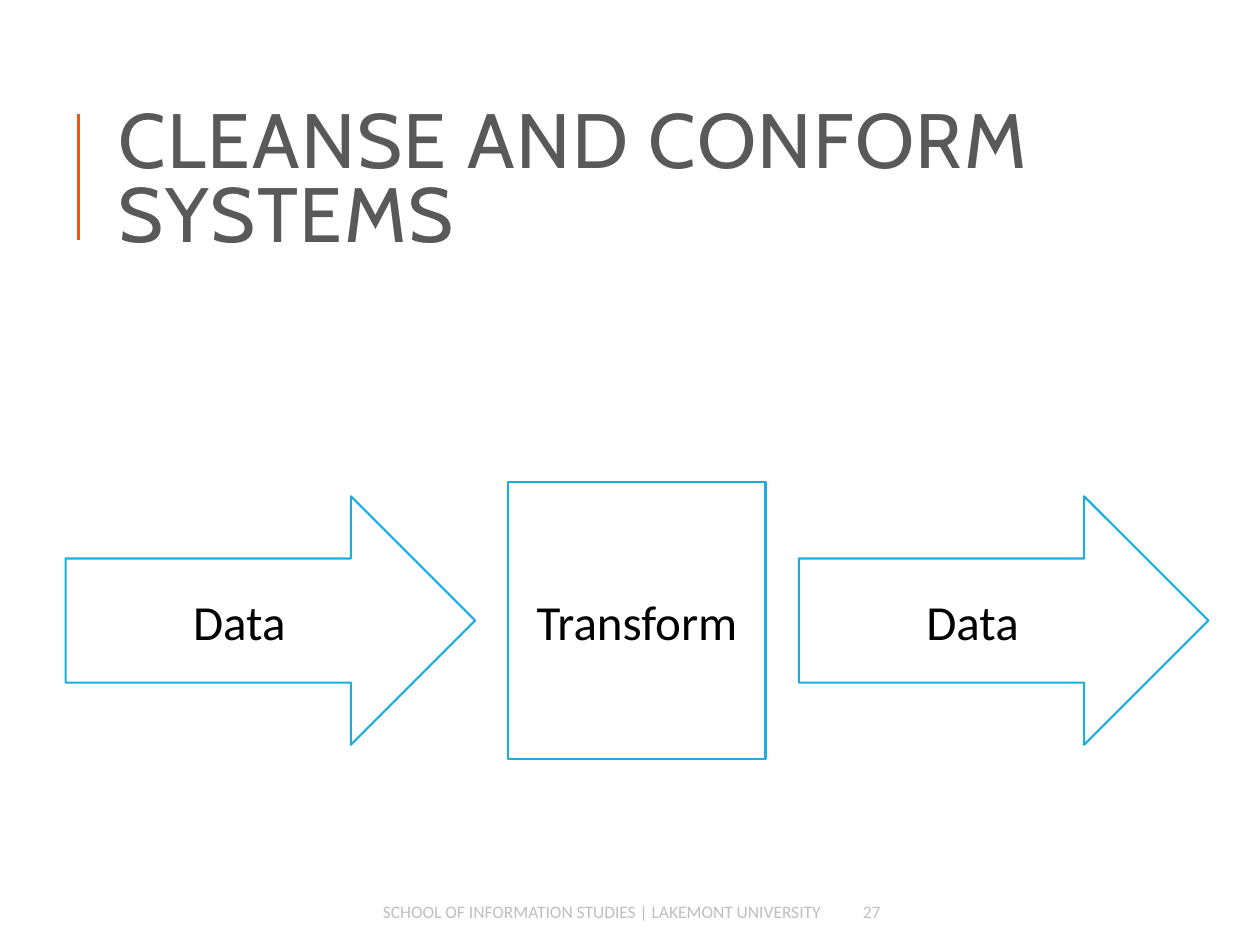
from typing import NamedTuple

from lxml import etree
from pptx import Presentation
from pptx.dml.color import RGBColor
from pptx.enum import shapes as es, text as et
from pptx.oxml.ns import qn
from pptx.util import Pt

ORANGE, BLUE, WHITE = "EE5612", "1CADE4", "FFFFFF"
DARK, GREY, BLACK = "595959", "BFBFBF", "000000"
LEFT, CENTER, RIGHT = et.PP_ALIGN.LEFT, et.PP_ALIGN.CENTER, et.PP_ALIGN.RIGHT


class Step(NamedTuple):
    label: str
    kind: es.MSO_SHAPE
    width: float
    height: float


def paint(target, color: str) -> None:
    target.rgb = RGBColor.from_string(color)


def write(shape, words: str, *, size: float, color: str, font: str = "Calibri",
          align=LEFT, leading: float = 1.0, track: float = 0) -> None:
    frame = shape.text_frame
    frame.word_wrap = True
    frame.auto_size = et.MSO_AUTO_SIZE.NONE
    frame.vertical_anchor = et.MSO_ANCHOR.MIDDLE
    para = frame.paragraphs[0]
    para.alignment, para.line_spacing = align, leading
    run = para.add_run()
    run.text = words
    run.font.name, run.font.size = font, Pt(size)
    paint(run.font.color, color)
    if track:
        run.font._element.set("spc", str(round(track * 100)))


def add_rule(slide, x: float, top: float, end: float) -> None:
    rule = slide.shapes.add_connector(
        es.MSO_CONNECTOR.STRAIGHT, Pt(x), Pt(top), Pt(x), Pt(end))
    paint(rule.line.color, ORANGE)
    rule.line.width = Pt(1.5)
    etree.SubElement(rule._element.spPr, qn("a:effectLst"))


def add_note(slide, words: str, left: float, width: float, align) -> None:
    box = slide.shapes.add_textbox(Pt(left), Pt(509.8), Pt(width), Pt(21.6))
    write(box, words, size=10, color=GREY, align=align)


def add_step(slide, step: Step, left: float, mid: float) -> None:
    shape = slide.shapes.add_shape(
        step.kind, Pt(left), Pt(mid - step.height / 2),
        Pt(step.width), Pt(step.height))
    shape.shadow.inherit = False
    shape.fill.solid()
    paint(shape.fill.fore_color, WHITE)
    paint(shape.line.color, BLUE)
    shape.line.width = Pt(1.25)
    write(shape, step.label, size=28, color=BLACK, align=CENTER)


def main() -> None:
    deck = Presentation()
    deck.slide_width, deck.slide_height = Pt(720), Pt(540)
    slide = deck.slides.add_slide(deck.slide_layouts[5])

    # Title with its accent rule
    add_rule(slide, 44.8, 65, 137)
    title = slide.shapes.title
    title.left, title.top = Pt(60.5), Pt(46)
    title.width, title.height = Pt(574), Pt(118)
    write(title, "CLEANSE AND CONFORM SYSTEMS", size=44, color=DARK,
          font="Cabin", leading=0.8, track=1)

    # Footer and page number
    add_note(slide, "SCHOOL OF INFORMATION STUDIES | LAKEMONT UNIVERSITY",
             136, 340, RIGHT)
    add_note(slide, "27", 486, 65.5, LEFT)

    # Process flow, evenly spaced on one centre line
    data = Step("Data", es.MSO_SHAPE.RIGHT_ARROW, 234, 142)
    change = Step("Transform", es.MSO_SHAPE.RECTANGLE, 147, 158.4)
    left, gap = 37.5, 19
    for step in (data, change, data):
        add_step(slide, step, left, 354.6)
        left += step.width + gap

    deck.save("out.pptx")


if __name__ == "__main__":
    main()
